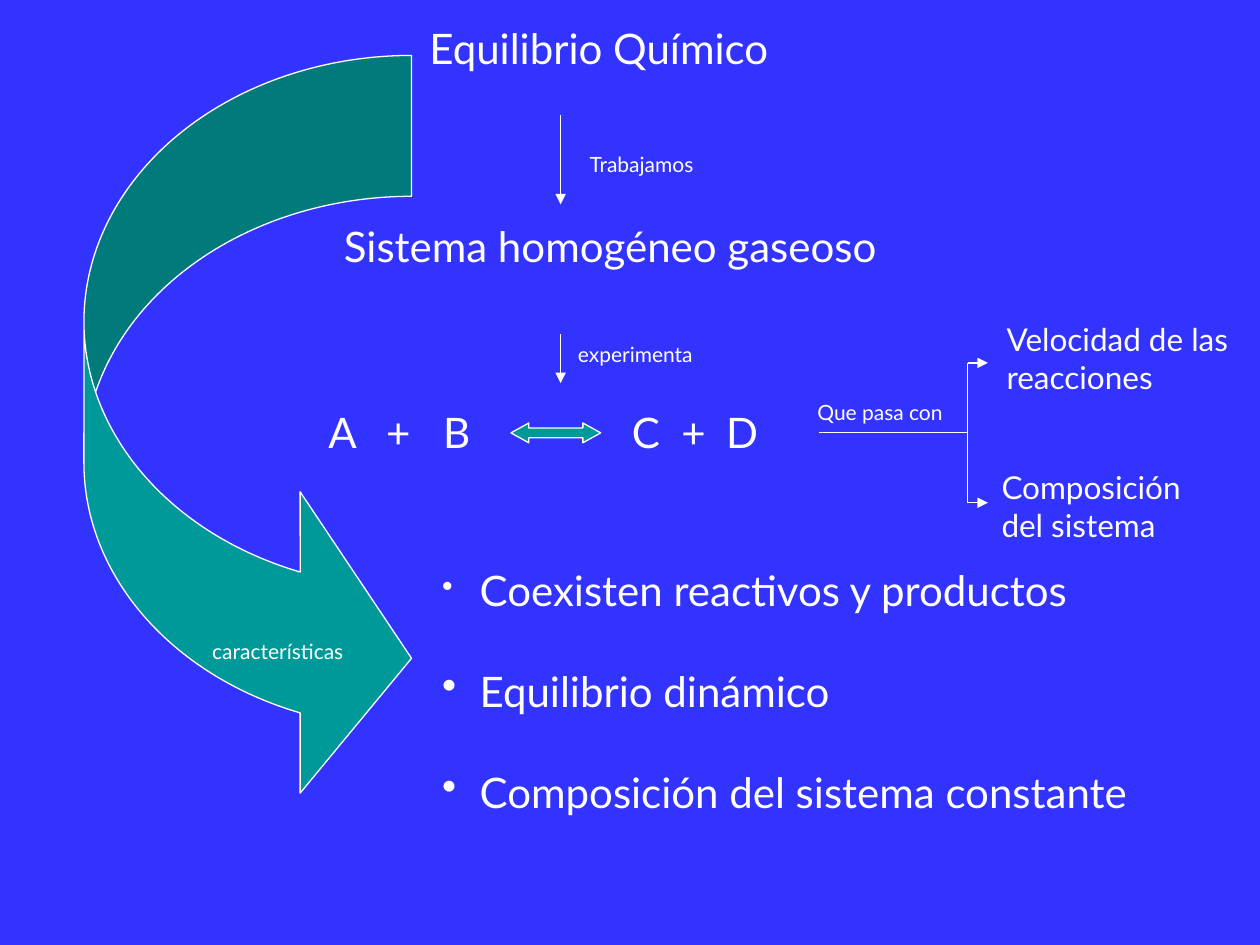
from lxml import etree
from pptx import Presentation
from pptx.dml.color import RGBColor
from pptx.enum.shapes import MSO_CONNECTOR, MSO_SHAPE
from pptx.oxml.ns import qn
from pptx.util import Pt

LINE = MSO_CONNECTOR.STRAIGHT
CURVE = MSO_SHAPE.CURVED_RIGHT_ARROW
DOUBLE = MSO_SHAPE.LEFT_RIGHT_ARROW

HUES = {"back": "3333FF", "ink": "FFFFFF", "teal": "009999"}
FONT = "Lato"
BIG, MID, SMALL = 24, 18, 12


def rgb(name):
    """Return the named colour."""
    return RGBColor.from_string(HUES[name])


class Board:
    """Hold the style and the current slide."""

    def __init__(self, deck):
        """Start a blank slide with its ground colour."""
        self.slide = deck.slides.add_slide(deck.slide_layouts[6])
        fill = self.slide.background.fill
        fill.solid()
        fill.fore_color.rgb = rgb("back")

    def frame(self, x, y, w, h):
        """Add an empty wrapping text box."""
        frame = self.slide.shapes.add_textbox(Pt(x), Pt(y), Pt(w), Pt(h)).text_frame
        frame.word_wrap = True
        return frame

    def run(self, para, text, size):
        """Add one styled run."""
        run = para.add_run()
        run.text = text
        run.font.name = FONT
        run.font.size = Pt(size)
        run.font.color.rgb = rgb("ink")

    def text(self, x, y, w, h, lines, size):
        """Add a label with one paragraph per line."""
        frame = self.frame(x, y, w, h)
        for i, line in enumerate(lines):
            para = frame.add_paragraph() if i else frame.paragraphs[0]
            self.run(para, line, size)

    def row(self, x, y, w, h, terms, stops, size):
        """Add terms on one line, set apart by tab stops."""
        para = self.frame(x, y, w, h).paragraphs[0]
        tabs = etree.SubElement(para._p.get_or_add_pPr(), qn("a:tabLst"))
        for stop in stops:
            etree.SubElement(tabs, qn("a:tab"), pos=str(Pt(stop)), algn="l")
        self.run(para, "\t".join(terms), size)

    def list(self, x, y, w, h, items, size, gap, hang):
        """Add bullet items, each with its bullet scale in percent."""
        frame = self.frame(x, y, w, h)
        for i, (item, scale) in enumerate(items):
            para = frame.add_paragraph() if i else frame.paragraphs[0]
            props = para._p.get_or_add_pPr()
            props.set("marL", str(Pt(hang)))
            props.set("indent", str(-Pt(hang)))
            etree.SubElement(props, qn("a:buSzPct"), val=str(scale * 1000))
            etree.SubElement(props, qn("a:buChar"), char="•")
            if i:
                para.space_before = Pt(gap)
            self.run(para, item, size)

    def shape(self, kind, x, y, w, h, ratios):
        """Add a teal preset shape with its adjustments."""
        shape = self.slide.shapes.add_shape(kind, Pt(x), Pt(y), Pt(w), Pt(h))
        shape.shadow.inherit = False
        shape.fill.solid()
        shape.fill.fore_color.rgb = rgb("teal")
        shape.line.color.rgb = rgb("ink")
        shape.line.width = Pt(0.75)
        for i, ratio in enumerate(ratios):
            shape.adjustments[i] = ratio

    def line(self, x1, y1, x2, y2, arrow=False):
        """Add a thin line, with an arrowhead at its end if asked."""
        line = self.slide.shapes.add_connector(LINE, Pt(x1), Pt(y1), Pt(x2), Pt(y2))
        line.line.color.rgb = rgb("ink")
        line.line.width = Pt(0.75)
        if arrow:
            etree.SubElement(line.line._get_or_add_ln(), qn("a:tailEnd"), type="triangle")
        etree.SubElement(line._element.spPr, qn("a:effectLst"))


def main():
    """Build the slide and save it."""
    deck = Presentation()
    deck.slide_width, deck.slide_height = Pt(720), Pt(540)
    board = Board(deck)

    board.text(238.3, 9.4, 222, 36, ["Equilibrio Químico"], BIG)
    board.text(189.4, 122.4, 347, 36, ["Sistema homogéneo gaseoso"], BIG)
    board.row(180.5, 228.5, 290, 36, ["A", "+", "B", "C", "+", "D"],
              [33, 65.6, 173.5, 201.8, 227.3], BIG)
    board.shape(DOUBLE, 292, 241.7, 51.3, 11.3, [0.5, 0.9])

    stem = 320.4
    board.line(stem, 65.5, stem, 116.8, True)
    board.line(stem, 190.8, stem, 218.9, True)

    board.shape(CURVE, 48, 31.7, 187.2, 430.6, [0.43, 0.92, 0.34])
    for x, y, w, label in [
        (329.8, 82.8, 86, "Trabajamos"),
        (323.2, 191.5, 88, "experimenta"),
        (114.2, 361.6, 97, "características"),
        (460, 224.6, 93, "Que pasa con"),
    ]:
        board.text(x, y, w, 21.6, [label], SMALL)

    fork, top, low = 553, 207.4, 287.3
    mid = (top + low) / 2
    board.line(468, mid, fork, mid)
    board.line(fork, top, fork, low)
    for y in (top, low):
        board.line(fork, y, 564.5, y, True)
    board.text(568.1, 179.3, 151.9, 50.4, ["Velocidad de las", "reacciones"], MID)
    board.text(565.2, 264.2, 129, 50.4, ["Composición", "del sistema"], MID)

    board.list(245.5, 319, 428, 159, [
        ("Coexisten reactivos y productos", 75),
        ("Equilibrio dinámico", 100),
        ("Composición del sistema constante", 100),
    ], BIG, 28.8, 21.5)

    deck.save("out.pptx")


if __name__ == "__main__":
    main()
